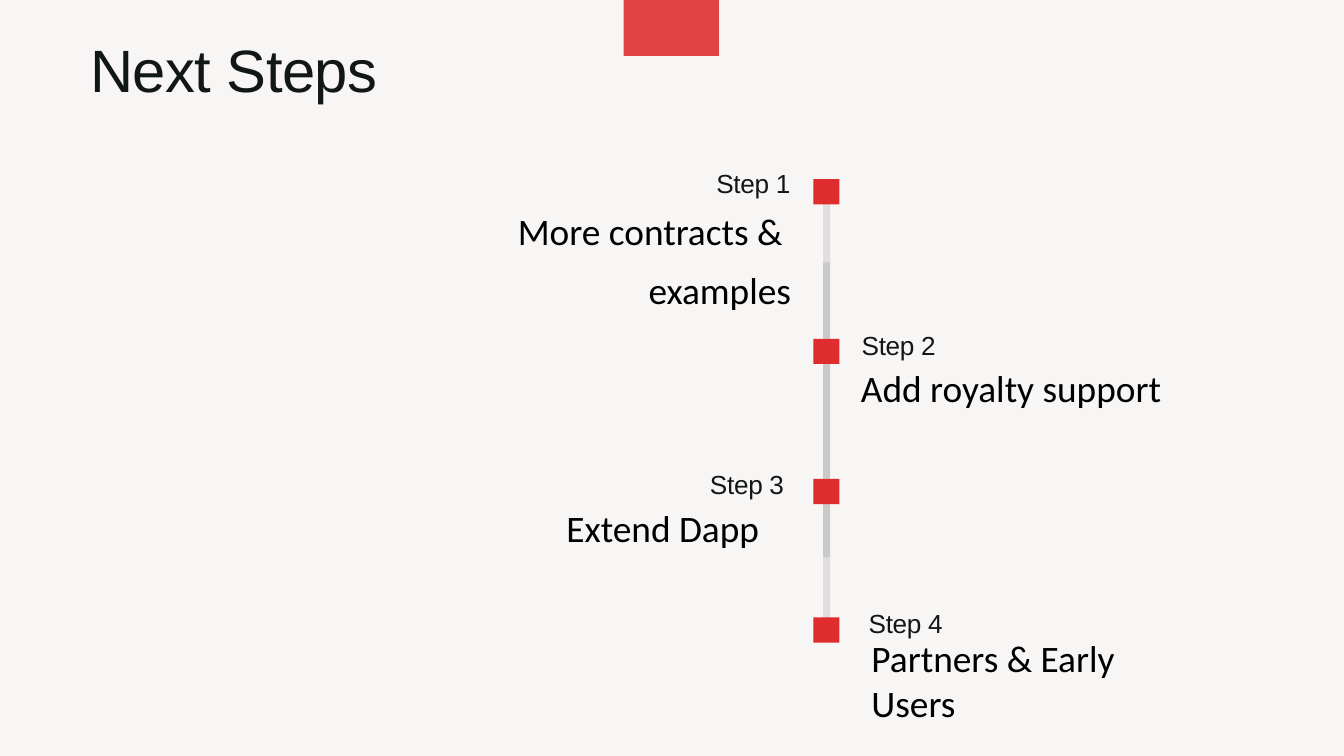
"""Build the Next Steps timeline slide."""
from dataclasses import dataclass
from typing import NamedTuple, Optional

from lxml.etree import SubElement
from pptx import Presentation
from pptx.dml.color import RGBColor
from pptx.enum.shapes import MSO_SHAPE
from pptx.enum.text import MSO_ANCHOR as Anchor, MSO_AUTO_SIZE as Fit, PP_ALIGN as Align
from pptx.oxml.ns import qn
from pptx.util import Emu, Pt

SCALE = 9525


class Box(NamedTuple):
    x: int
    y: int
    w: int
    h: int

    def emu(self) -> list[Emu]:
        return [Emu(n * SCALE) for n in self]


@dataclass(frozen=True)
class Style:
    font: str
    size: int
    color: str
    lead: Optional[float] = None
    track: int = 0


@dataclass(frozen=True)
class Theme:
    paper: str = "F8F5F5"
    ink: str = "111717"
    red: str = "DF2C2C"
    title: Style = Style("Arial", 64, "111717", 83.2, -60)
    label: Style = Style("Arial", 28, "111717", 36.4, -30)
    body: Style = Style("Calibri", 40, "000000")
    loose: Style = Style("Calibri", 40, "000000", 63.9)


@dataclass(frozen=True)
class Step:
    label: str
    body: str
    mark: int
    head: Box
    text: Box
    style: Style
    sides: tuple = (Align.LEFT, Align.LEFT)


THEME = Theme()
STEPS = [
    Step("Step 1", "More contracts &  examples", 256, Box(867, 235, 262, 47),
         Box(697, 276, 433, 165), THEME.loose, (Align.RIGHT, Align.RIGHT)),
    Step("Step 2", "Add royalty support", 484, Box(1231, 467, 262, 47),
         Box(1230, 522, 449, 64), THEME.body),
    Step("Step 3", "Extend Dapp", 684, Box(902, 665, 218, 47),
         Box(809, 722, 460, 64), THEME.body, (Align.RIGHT, Align.LEFT)),
    Step("Step 4", "Partners & Early Users", 882, Box(1241, 864, 262, 47),
         Box(1245, 907, 449, 130), THEME.body),
]


def write(shape, text: str, style: Style, side=Align.LEFT) -> None:
    """Fill a shape with one styled paragraph."""
    frame = shape.text_frame
    frame.text = text
    frame.word_wrap = True
    frame.auto_size = Fit.SHAPE_TO_FIT_TEXT
    frame.vertical_anchor = Anchor.TOP
    frame.margin_left = frame.margin_right = 0
    frame.margin_top = frame.margin_bottom = 0
    para = frame.paragraphs[0]
    para.alignment = side
    if style.lead:
        para.line_spacing = Pt(style.lead)
    run = para.runs[0]
    run.font.name = style.font
    run.font.size = Pt(style.size)
    run.font.color.rgb = RGBColor.from_string(style.color)
    if style.track:
        run.font._element.set("spc", str(style.track))


def block(slide, box: Box, color: str, alpha: int = 100) -> None:
    """Draw a plain rectangle, with opacity in percent."""
    shape = slide.shapes.add_shape(MSO_SHAPE.RECTANGLE, *box.emu())
    shape.shadow.inherit = False
    shape.line.fill.background()
    shape.fill.solid()
    shape.fill.fore_color.rgb = RGBColor.from_string(color)
    if alpha < 100:
        tint = shape._element.spPr.find(f".//{qn('a:srgbClr')}")
        SubElement(tint, qn("a:alpha")).set("val", str(alpha * 1000))


def add_step(slide, step: Step) -> None:
    """Draw one marker with its grouped label and text."""
    block(slide, Box(1162, step.mark, 37, 36), THEME.red)
    group = slide.shapes.add_group_shape()
    parts = ((step.head, step.label, THEME.label), (step.text, step.body, step.style))
    for (box, text, style), side in zip(parts, step.sides):
        write(group.shapes.add_textbox(*box.emu()), text, style, side)


def main() -> None:
    """Build and save the slide."""
    deck = Presentation()
    deck.slide_width, deck.slide_height = Emu(1920 * SCALE), Emu(1080 * SCALE)
    slide = deck.slides.add_slide(deck.slide_layouts[5])
    back = slide.background.fill
    back.solid()
    back.fore_color.rgb = RGBColor.from_string(THEME.paper)

    title = slide.shapes.title
    title.left, title.top, title.width, title.height = Box(129, 39, 681, 107).emu()
    write(title, "Next Steps", THEME.title)

    block(slide, Box(891, -2, 136, 82), THEME.red, 89)
    for top in (375, 256):
        block(slide, Box(1176, top, 10, 540), THEME.ink, 10)
    for step in STEPS:
        add_step(slide, step)
    deck.save("out.pptx")


if __name__ == "__main__":
    main()
